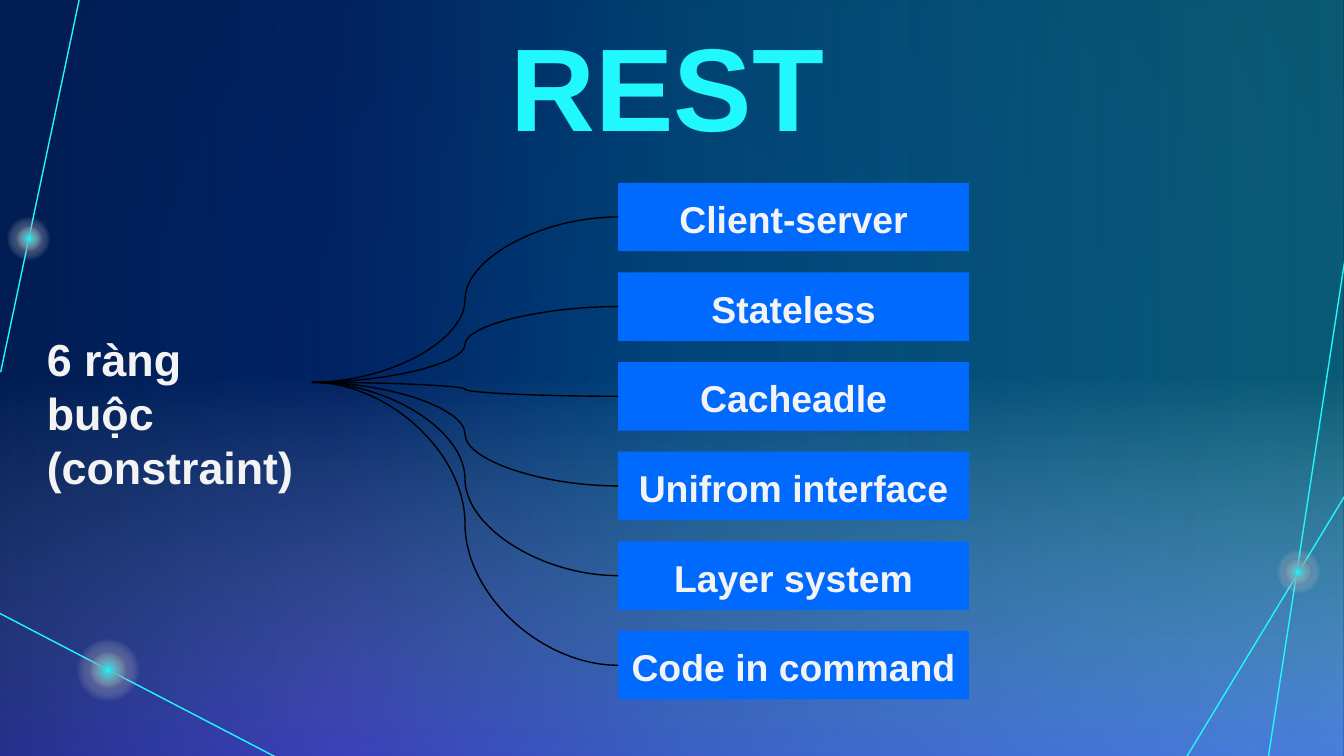
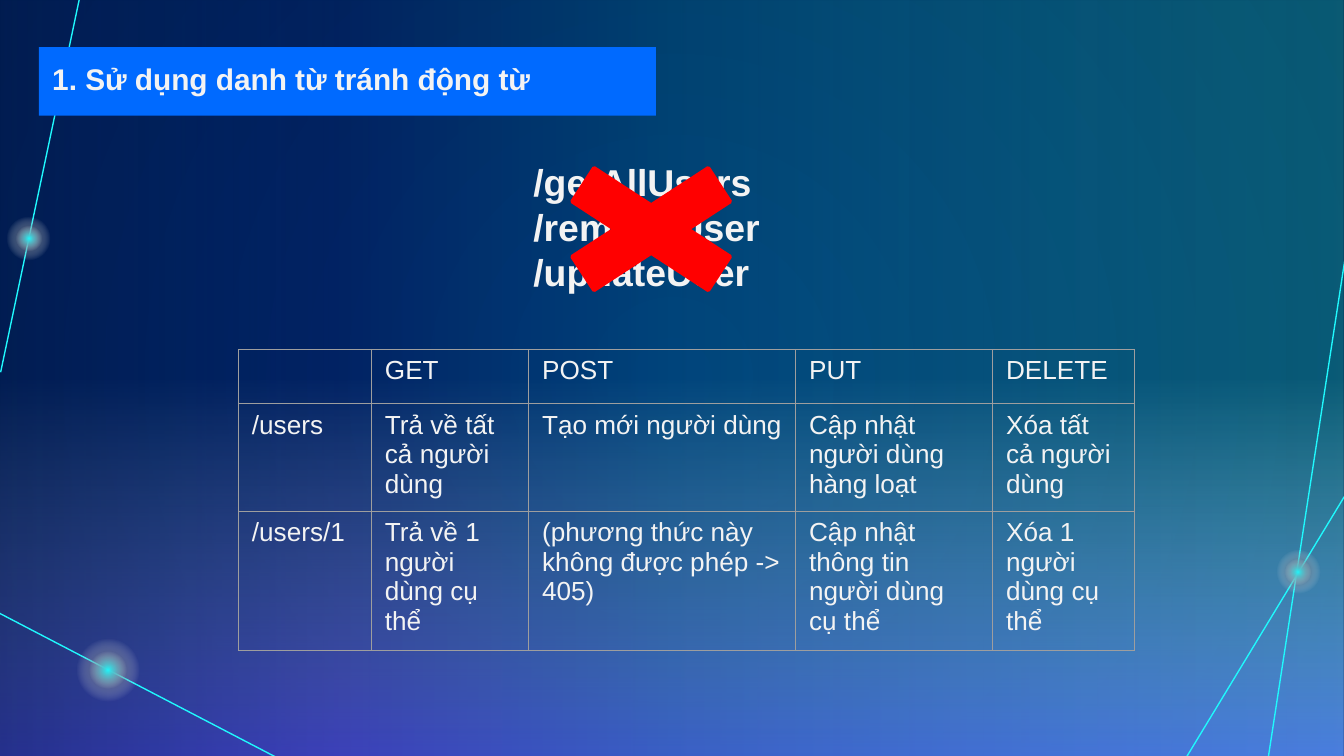
import pptx
import pptx.dml.color
import pptx.enum.shapes
import pptx.enum.text
import pptx.oxml
import pptx.oxml.ns
import pptx.util
import lxml.etree

SHAPES = pptx.enum.shapes.MSO_SHAPE
CONNECTORS = pptx.enum.shapes.MSO_CONNECTOR
ALIGN = pptx.enum.text.PP_ALIGN
ANCHOR = pptx.enum.text.MSO_ANCHOR
qn = pptx.oxml.ns.qn

SLIDE_WIDTH = pptx.util.Inches(10)
SLIDE_HEIGHT = pptx.util.Inches(5.625)
GRID_COLUMNS = 100
GRID_ROWS = 56.25
FONT = "Arial"
CYAN, NAVY, MIDNIGHT = "20F8FD", "012060", "00183A"
PALE, BLUE, RED, BLACK, GREY = "F3F3F3", "006AFF", "FF0000", "000000", "9E9E9E"

RAYS = [
    (20.85, 56.5, -0.1, 45.6),
    (88.3, 56.3, 100.3, 36.5),
    (94.3, 56.8, 100.3, 17.8),
    (6.1, -1, 0.05, 27.7),
]
GLOWS = [(96.6, 42.55, 4.6), (8.05, 49.85, 6.6), (2.15, 17.75, 4.6)]
CORE_SHARE = 0.59

CONSTRAINTS = [
    "Client-server",
    "Stateless",
    "Cacheadle",
    "Unifrom interface",
    "Layer system",
    "Code in command",
]
VERB_PATHS = ["/getAllUsers", "/removeUser", "/updateUser"]
METHOD_COLUMNS = [9.9, 11.7, 19.87, 14.66, 10.55]
METHOD_ROWS = [4.05, 7.2, 4.05]
METHODS = [
    ["", "GET", "POST", "PUT", "DELETE"],
    ["/users", "Trả về tất cả người dùng", "Tạo mới người dùng",
     "Cập nhật người dùng hàng loạt", "Xóa tất cả người dùng"],
    ["/users/1", "Trả về 1 người dùng cụ thể",
     "(phương thức này không được phép -> 405)",
     "Cập nhật thông tin người dùng cụ thể", "Xóa 1 người dùng cụ thể"],
]


def color(value):
    return pptx.dml.color.RGBColor.from_string(value)


def across(columns):
    return pptx.util.Emu(round(columns * SLIDE_WIDTH / GRID_COLUMNS))


def down(rows):
    return pptx.util.Emu(round(rows * SLIDE_HEIGHT / GRID_ROWS))


def place(left, top, width, height):
    return across(left), down(top), across(width), down(height)


def set_gradient(fill, parent, stops, angle=None):
    fill.solid()
    fill.fore_color.rgb = color(BLACK)
    gradient = pptx.oxml.parse_xml(
        f'<a:gradFill {pptx.oxml.ns.nsdecls("a")} rotWithShape="1"><a:gsLst/></a:gradFill>')
    for position, value, opacity in stops:
        stop = lxml.etree.SubElement(gradient[0], qn("a:gs"), pos=str(position * 1000))
        tint = lxml.etree.SubElement(stop, qn("a:srgbClr"), val=value)
        if opacity < 100:
            lxml.etree.SubElement(tint, qn("a:alpha"), val=str(opacity * 1000))
    if angle is None:
        circle = lxml.etree.SubElement(gradient, qn("a:path"), {"path": "circle"})
        lxml.etree.SubElement(circle, qn("a:fillToRect"), dict.fromkeys("ltrb", "50000"))
    else:
        lxml.etree.SubElement(gradient, qn("a:lin"), ang=str(angle * 60000), scaled="0")
    parent.replace(parent.find(qn("a:solidFill")), gradient)


def add_plain_shape(slide, kind, box, fill=None):
    shape = slide.shapes.add_shape(kind, *place(*box))
    shape.shadow.inherit = False
    shape.line.fill.background()
    if fill:
        shape.fill.solid()
        shape.fill.fore_color.rgb = color(fill)
    return shape


def add_veil(slide, stops, angle):
    veil = add_plain_shape(slide, SHAPES.RECTANGLE, (0, 0, GRID_COLUMNS, GRID_ROWS))
    veil.rotation = 180
    veil.element.spPr.find(qn("a:xfrm")).set("flipH", "1")
    set_gradient(veil.fill, veil.element.spPr, stops, angle)
    return veil


def add_disc(slide, center_x, center_y, size, value):
    disc = add_plain_shape(
        slide, SHAPES.OVAL, (center_x - size / 2, center_y - size / 2, size, size))
    set_gradient(disc.fill, disc.element.spPr, [(0, value, 100), (50, PALE, 0), (100, PALE, 0)])
    return disc


def add_line(slide, kind, value, start_x=0, start_y=0, end_x=0, end_y=0):
    line = slide.shapes.add_connector(
        kind, across(start_x), down(start_y), across(end_x), down(end_y))
    line.line.color.rgb = color(value)
    line.line.width = pptx.util.Pt(0.75)
    lxml.etree.SubElement(line.element.spPr, qn("a:effectLst"))
    return line


def decorate_layout(layout, slide):
    for placeholder in list(layout.placeholders):
        layout.shapes.element.remove(placeholder.element)
    set_gradient(layout.background.fill, layout.element.find(".//" + qn("p:bgPr")),
                 [(0, NAVY, 100), (100, MIDNIGHT, 100)])
    decorations = [
        add_veil(slide, [(0, "748BFF", 0), (50, PALE, 0), (100, "7659FF", 77)], 270),
        add_veil(slide, [(0, CYAN, 29), (50, "0182AA", 36), (75, "022E88", 35),
                         (100, NAVY, 60)], 180),
    ]
    decorations += [add_line(slide, CONNECTORS.STRAIGHT, CYAN, *ray) for ray in RAYS]
    for center_x, center_y, size in GLOWS:
        decorations.append(add_disc(slide, center_x, center_y, size, MIDNIGHT))
        decorations.append(add_disc(slide, center_x, center_y, size * CORE_SHARE, CYAN))
    for decoration in decorations:
        layout.shapes.element.append(decoration.element)


def write(frame, lines, size, value=PALE, bold=True, align=ALIGN.LEFT, space_after=0):
    frame.word_wrap = True
    frame.vertical_anchor = ANCHOR.TOP
    frame.margin_left = frame.margin_right = across(1)
    frame.margin_top = frame.margin_bottom = down(1)
    frame.text = "\n".join(lines)
    for paragraph in frame.paragraphs:
        paragraph.alignment = align
        paragraph.space_after = pptx.util.Pt(space_after)
        style_font(paragraph.font, size, value, bold)


def style_font(font, size, value, bold):
    font.name = FONT
    font.size = pptx.util.Pt(size)
    font.bold = bold
    font.color.rgb = color(value)


def add_text(slide, box, lines, size, **style):
    text_box = slide.shapes.add_textbox(*place(*box))
    write(text_box.text_frame, lines, size, **style)
    return text_box


def add_label(slide, box, text, size, align):
    label = add_plain_shape(slide, SHAPES.RECTANGLE, box, BLUE)
    write(label.text_frame, [text], size, align=align, space_after=16)
    return label


def set_borders(cell):
    properties = cell._tc.get_or_add_tcPr()
    for index, side in enumerate(("lnL", "lnR", "lnT", "lnB")):
        border = lxml.etree.Element(qn("a:" + side), w=str(pptx.util.Pt(0.75)))
        fill = lxml.etree.SubElement(border, qn("a:solidFill"))
        lxml.etree.SubElement(fill, qn("a:srgbClr"), val=GREY)
        properties.insert(index, border)


def add_table(slide, left, top, widths, heights, rows):
    table = slide.shapes.add_table(
        len(rows), len(widths), *place(left, top, sum(widths), sum(heights))).table
    table.first_row = table.horz_banding = False
    for column, width in zip(table.columns, widths):
        column.width = across(width)
    for row, height, texts in zip(table.rows, heights, rows):
        row.height = down(height)
        for cell, text in zip(row.cells, texts):
            cell.text = text
            cell.margin_left = cell.margin_right = across(1)
            cell.margin_top = cell.margin_bottom = down(0.5)
            style_font(cell.text_frame.paragraphs[0].font, 14, PALE, False)
            cell.fill.background()
            set_borders(cell)


def build_constraints(slide):
    add_text(slide, (7.5, 0, 84.3, 10.1), ["REST"], 63, value=CYAN, align=ALIGN.CENTER)
    root = add_text(slide, (2.5, 23.7, 20.7, 9.5), ["6 ràng buộc", "(constraint)"], 24)
    for index, constraint in enumerate(CONSTRAINTS):
        label = add_label(
            slide, (46, 13.6 + index * 6.67, 26.1, 5.1), constraint, 20, ALIGN.CENTER)
        branch = add_line(slide, CONNECTORS.CURVE, BLACK)
        branch.begin_connect(root, 3)
        branch.end_connect(label, 1)


def build_nouns(slide):
    add_label(slide, (2.9, 3.5, 45.9, 5.1), "1. Sử dụng danh từ tránh động từ", 16, ALIGN.LEFT)
    add_text(slide, (38.7, 10.85, 20.1, 12.4), VERB_PATHS, 20)
    cross = add_plain_shape(slide, SHAPES.MATH_MULTIPLY, (38.7, 10.7, 19.5, 12.7), RED)
    cross.line.color.rgb = color(RED)
    cross.line.width = pptx.util.Pt(2)
    add_table(slide, 17.74, 26, METHOD_COLUMNS, METHOD_ROWS, METHODS)


def main():
    presentation = pptx.Presentation()
    presentation.slide_width = SLIDE_WIDTH
    presentation.slide_height = SLIDE_HEIGHT
    blank = presentation.slide_layouts[6]
    constraints, nouns = [presentation.slides.add_slide(blank) for _ in range(2)]
    decorate_layout(blank, constraints)
    build_constraints(constraints)
    build_nouns(nouns)
    presentation.save("out.pptx")


if __name__ == "__main__":
    main()
